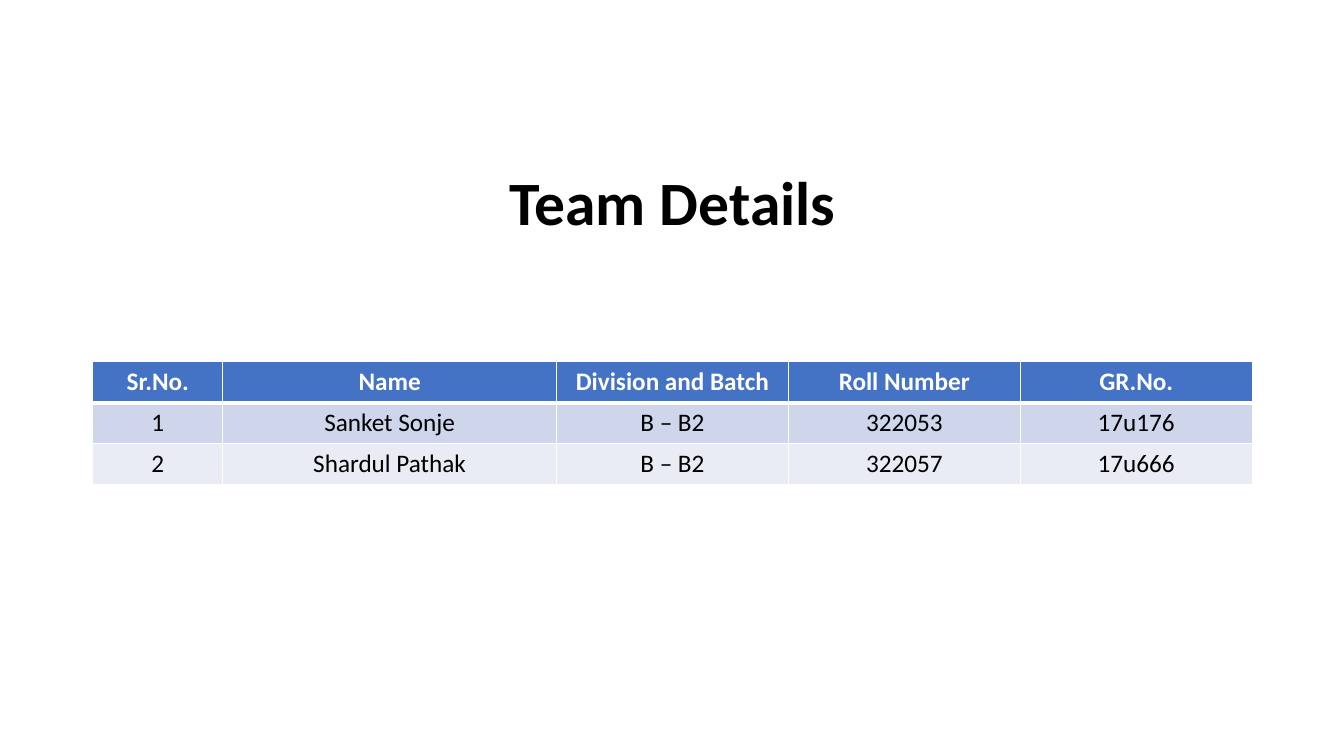
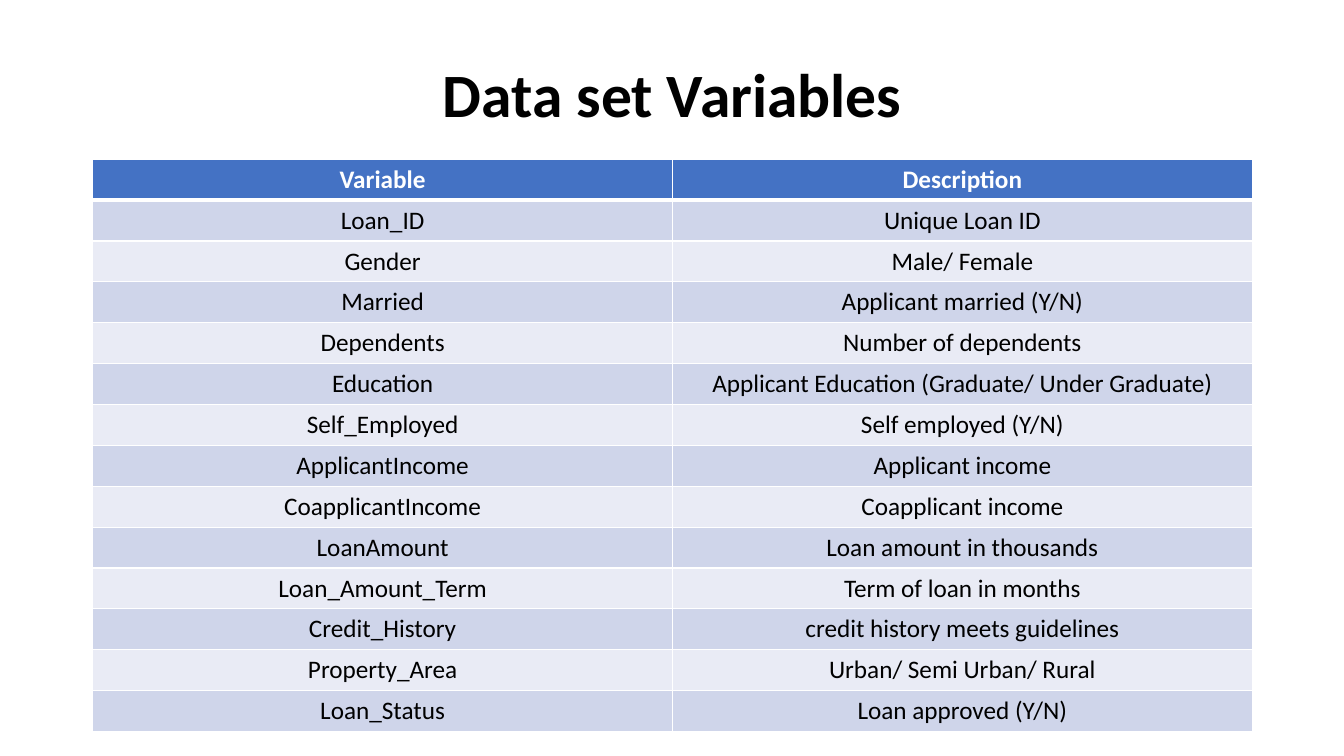
from lxml.etree import SubElement
from pptx import Presentation
from pptx.dml.color import RGBColor
from pptx.enum.text import MSO_ANCHOR, PP_ALIGN
from pptx.oxml.ns import qn
from pptx.util import Inches, Pt

FONT = "Calibri"
BLACK, WHITE = "000000", "FFFFFF"
HEADER_FILL = "4472C4"
BAND_FILLS = ("CFD5EA", "E9EBF5")
SLIDE_W, SLIDE_H = 13.33, 7.5
MARGIN = 0.92
CONTENT_W = 11.5
TITLE_H = 1.45
ROW_H = 5.68 / 14

TEAM = [
    ("Sr.No.", "Name", "Division and Batch", "Roll Number", "GR.No."),
    ("1", "Sanket Sonje", "B – B2", "322053", "17u176"),
    ("2", "Shardul Pathak", "B – B2", "322057", "17u666"),
]
VARIABLES = [
    ("Variable", "Description"),
    ("Loan_ID", "Unique Loan ID"),
    ("Gender", "Male/ Female"),
    ("Married", "Applicant married (Y/N)"),
    ("Dependents", "Number of dependents"),
    ("Education", "Applicant Education (Graduate/ Under Graduate)"),
    ("Self_Employed", "Self employed (Y/N)"),
    ("ApplicantIncome", "Applicant income"),
    ("CoapplicantIncome", "Coapplicant income"),
    ("LoanAmount", "Loan amount in thousands"),
    ("Loan_Amount_Term", "Term of loan in months"),
    ("Credit_History", "credit history meets guidelines"),
    ("Property_Area", "Urban/ Semi Urban/ Rural"),
    ("Loan_Status", "Loan approved (Y/N)"),
]


def rgb(color):
    return RGBColor.from_string(color)


def style_text(tf, size, color, bold):
    p = tf.paragraphs[0]
    p.alignment = PP_ALIGN.CENTER
    font = p.runs[0].font
    font.name, font.size, font.bold = FONT, Pt(size), bold
    font.color.rgb = rgb(color)
    return p


def add_title(slide, text, top):
    box = slide.shapes.add_textbox(Inches(MARGIN), Inches(top),
                                   Inches(CONTENT_W), Inches(TITLE_H))
    tf = box.text_frame
    tf.word_wrap = True
    tf.vertical_anchor = MSO_ANCHOR.MIDDLE
    tf.text = text
    style_text(tf, 44, BLACK, True).line_spacing = 0.9


def set_borders(cell, **widths):
    """Draw white borders; widths are points by side, in the order L, R, T, B."""
    tc_pr = cell._tc.get_or_add_tcPr()
    for i, (side, width) in enumerate(widths.items()):
        ln = SubElement(tc_pr, qn(f"a:ln{side}"), w=str(Pt(width)))
        fill = SubElement(ln, qn("a:solidFill"))
        SubElement(fill, qn("a:srgbClr"), val=WHITE)
        tc_pr.insert(i, ln)


def style_cell(cell, text, row, anchor):
    header = row == 0
    cell.text = text
    cell.vertical_anchor = anchor
    style_text(cell.text_frame, 18, WHITE if header else BLACK, header)
    cell.fill.solid()
    cell.fill.fore_color.rgb = rgb(
        HEADER_FILL if header else BAND_FILLS[(row - 1) % 2])
    set_borders(cell, L=1, R=1, T=3 if row == 1 else 1, B=3 if header else 1)


def add_banded_table(slide, rows, top, col_shares, anchor):
    """Fill the content width, split between the columns by their shares."""
    frame = slide.shapes.add_table(
        len(rows), len(col_shares), Inches(MARGIN), Inches(top),
        Inches(CONTENT_W), Inches(ROW_H * len(rows)))
    table = frame.table
    for column, share in zip(table.columns, col_shares):
        column.width = Inches(CONTENT_W * share / sum(col_shares))
    for r, values in enumerate(rows):
        table.rows[r].height = Inches(ROW_H)
        for c, text in enumerate(values):
            style_cell(table.cell(r, c), text, r, anchor)


def add_table_slide(prs, title, title_top, rows, table_top, col_shares,
                    anchor=MSO_ANCHOR.MIDDLE):
    slide = prs.slides.add_slide(prs.slide_layouts[6])
    add_title(slide, title, title_top)
    add_banded_table(slide, rows, table_top, col_shares, anchor)


def main():
    prs = Presentation()
    prs.slide_width, prs.slide_height = Inches(SLIDE_W), Inches(SLIDE_H)
    add_table_slide(prs, "Team Details", 1.31, TEAM, 3.59,
                    (1.29, 3.31, 2.3, 2.3, 2.3), MSO_ANCHOR.TOP)
    add_table_slide(prs, "Data set Variables", 0.24, VARIABLES, 1.58, (1, 1))
    prs.save("out.pptx")


if __name__ == "__main__":
    main()
